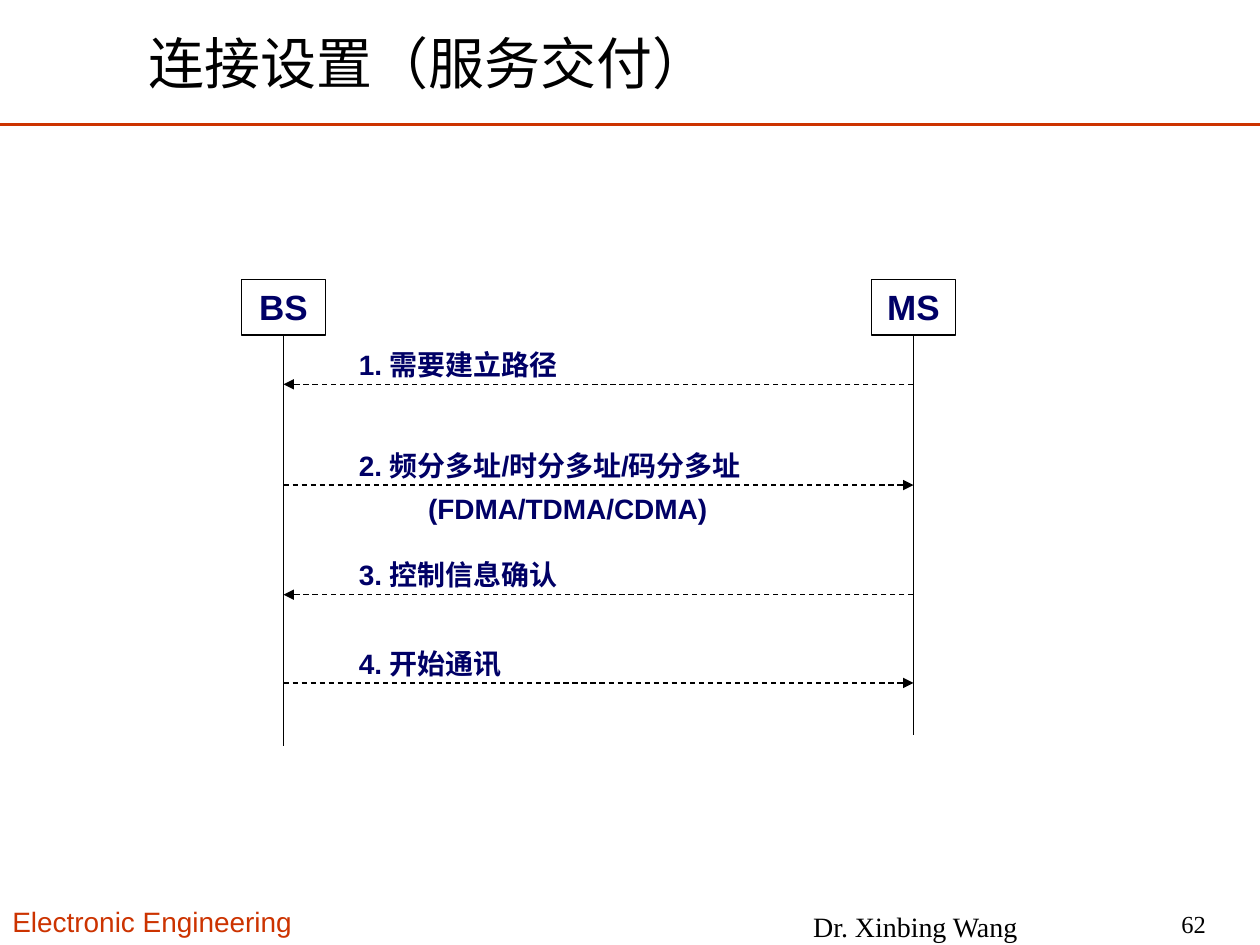
import pptx
import pptx.util
import pptx.dml.color
import pptx.enum.dml
import pptx.enum.shapes
import pptx.enum.text
import pptx.oxml
import pptx.oxml.ns

W, H = 10, 7.5
COLORS = {"accent": "CC3300", "ink": "000000", "navy": "000066"}
SANS, SERIF = "Arial", "Times New Roman"

# Content
TITLE = "连接设置（服务交付）"
FOOTERS = [  # text, box, size, font, color, alignment, anchor
    ("Electronic Engineering", (0, 7.13, 2.55, 0.37), 16, SANS, "accent", "LEFT", "TOP"),
    ("Dr. Xinbing Wang", (6.05, 7.23, 2.43, 0.25), 16, SERIF, "ink", "CENTER", "MIDDLE"),
    ("62", (8.84, 7.21, 0.83, 0.25), 14, SERIF, "ink", "RIGHT", "MIDDLE"),
]
ACTORS = {"BS": (2.25, 5.92), "MS": (7.25, 5.83)}  # lifeline x and end
MESSAGES = [  # sender, receiver, y, label
    ("MS", "BS", 3.05, "1. 需要建立路径"),
    ("BS", "MS", 3.85, "2. 频分多址/时分多址/码分多址"),
    ("MS", "BS", 4.72, "3. 控制信息确认"),
    ("BS", "MS", 5.42, "4. 开始通讯"),
]
DETAIL = "(FDMA/TDMA/CDMA)"

# Layout
RULE_Y = 0.99
ACTOR_W, ACTOR_H, ACTOR_TOP = 0.67, 0.44, 2.22
LABEL_X, LABEL_W, LABEL_H, LABEL_RISE = 2.75, 4.42, 0.37, 0.34
DETAIL_INDENT = 0.55

prs = pptx.Presentation()
prs.slide_width, prs.slide_height = pptx.util.Inches(W), pptx.util.Inches(H)
s = prs.slides.add_slide(prs.slide_layouts[6])


def inches(*values):
    return [pptx.util.Inches(v) for v in values]


def rgb(name):
    return pptx.dml.color.RGBColor.from_string(COLORS[name])


def set_text(sp, text, size, font, color, align="LEFT", anchor="TOP", bold=False):
    tf = sp.text_frame
    tf.word_wrap = True
    tf.vertical_anchor = getattr(pptx.enum.text.MSO_ANCHOR, anchor)
    p = tf.paragraphs[0]
    p.alignment = getattr(pptx.enum.text.PP_ALIGN, align)
    r = p.add_run()
    r.text = text
    r.font.size, r.font.name, r.font.bold = pptx.util.Pt(size), font, bold
    r.font.color.rgb = rgb(color)


def add_text(box, *style, **options):
    set_text(s.shapes.add_textbox(*inches(*box)), *style, **options)


def add_line(x1, y1, x2, y2, color="ink", width=0.75, arrow=False):
    ln = s.shapes.add_connector(pptx.enum.shapes.MSO_CONNECTOR.STRAIGHT,
                                *inches(x1, y1, x2, y2))
    ln.line.color.rgb = rgb(color)
    ln.line.width = pptx.util.Pt(width)
    if arrow:
        ln.line.dash_style = pptx.enum.dml.MSO_LINE.DASH
        tail = pptx.oxml.parse_xml(
            f'<a:tailEnd {pptx.oxml.ns.nsdecls("a")} type="triangle"/>')
        ln.line._get_or_add_ln().append(tail)
    ln._element.spPr.append(
        pptx.oxml.parse_xml(f'<a:effectLst {pptx.oxml.ns.nsdecls("a")}/>'))


# Title, rule and footer
add_text((1.08, 0.15, 7.47, 0.69), TITLE, 32, SERIF, "ink", anchor="MIDDLE")
add_line(0, RULE_Y, W, RULE_Y, "accent", 1.5)
for text, box, *style in FOOTERS:
    add_text(box, text, *style)

# Actors and lifelines
for name, (x, end) in ACTORS.items():
    sp = s.shapes.add_shape(pptx.enum.shapes.MSO_SHAPE.RECTANGLE,
                            *inches(x - ACTOR_W / 2, ACTOR_TOP, ACTOR_W, ACTOR_H))
    sp.shadow.inherit = False
    sp.fill.background()
    sp.line.color.rgb = rgb("ink")
    sp.line.width = pptx.util.Pt(0.75)
    set_text(sp, name, 20, SANS, "navy", "CENTER", bold=True)
    add_line(x, ACTOR_TOP + ACTOR_H, x, end)

# Messages, each label just above its arrow
for sender, receiver, y, label in MESSAGES:
    add_line(ACTORS[sender][0], y, ACTORS[receiver][0], y, arrow=True)
    add_text((LABEL_X, y - LABEL_RISE, LABEL_W, LABEL_H), label, 16, SANS, "navy", bold=True)

# Detail below the second message
add_text((LABEL_X + DETAIL_INDENT, MESSAGES[1][2], LABEL_W - DETAIL_INDENT, LABEL_H),
         DETAIL, 16, SANS, "navy", bold=True)

prs.save("out.pptx")
